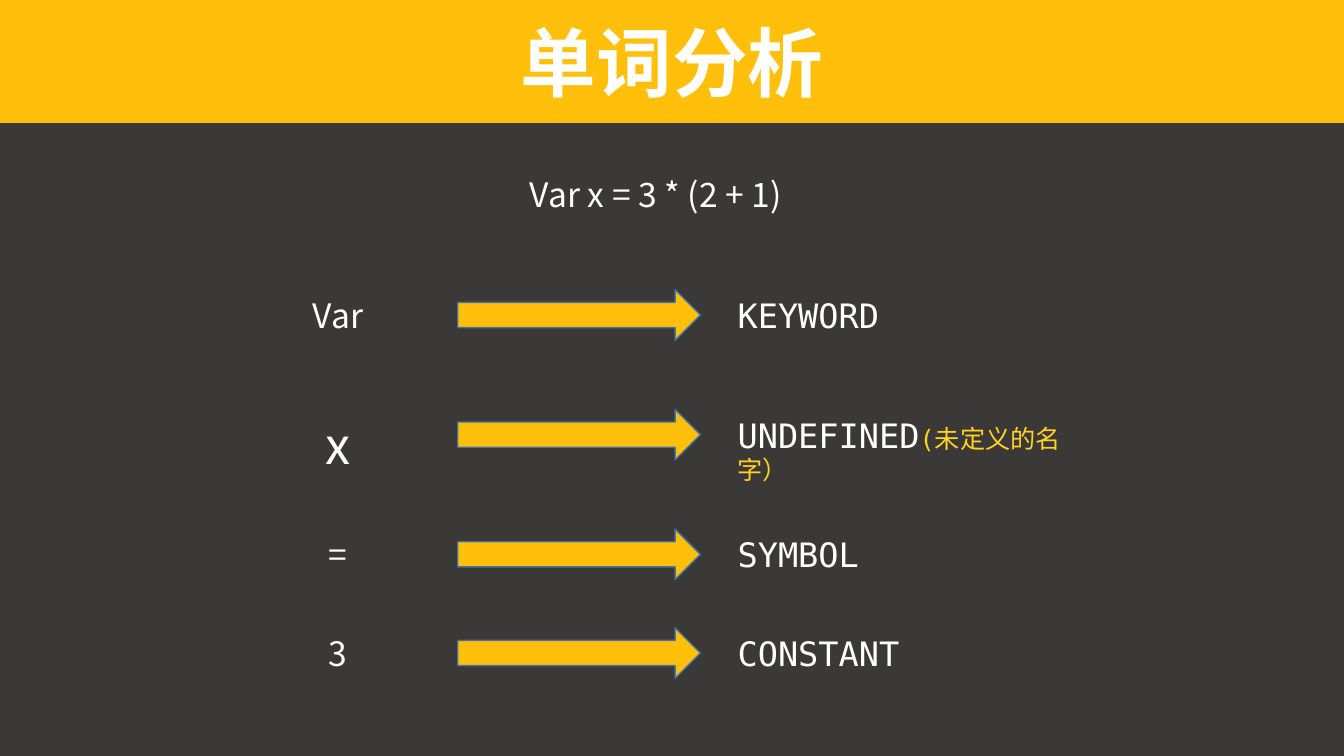
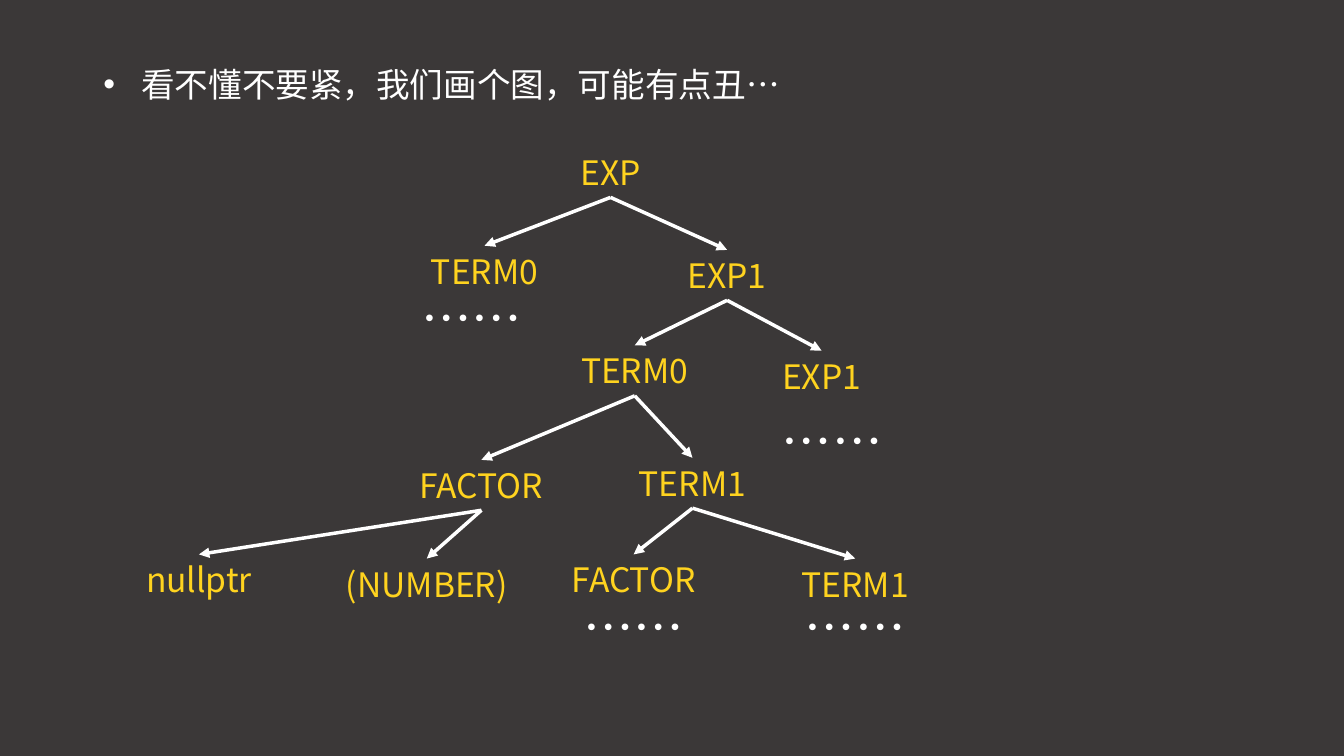
"""Build two slides on lexing an expression and drawing its parse tree."""
from lxml.etree import SubElement
from pptx import Presentation
from pptx.dml.color import RGBColor
from pptx.enum.shapes import MSO_CONNECTOR, MSO_SHAPE
from pptx.enum.text import MSO_ANCHOR, MSO_AUTO_SIZE, PP_ALIGN
from pptx.oxml.ns import qn
from pptx.util import Pt

PX = 9525
DARK = RGBColor(0x3B, 0x38, 0x38)
AMBER = RGBColor(0xFF, 0xBF, 0x0B)
YELLOW = RGBColor(0xFF, 0xD3, 0x1F)
WHITE = RGBColor(0xFF, 0xFF, 0xFF)
OUTLINE = RGBColor(0x43, 0x73, 0x9E)
SANS = "Noto Sans CJK SC"
MONO = "DejaVu Sans Mono"
LINE_HEIGHT = 48
LARGE_HEIGHT = 68


def format_run(run, size, color, font=SANS):
    run.font.size = Pt(size)
    run.font.color.rgb = color
    run.font.name = font
    SubElement(run.font._element, qn("a:ea")).set("typeface", SANS)


def add_text(slide, left, top, width, text, color=WHITE, size=24, font=SANS, align=PP_ALIGN.CENTER):
    height = LARGE_HEIGHT if size == 36 else LINE_HEIGHT
    box = slide.shapes.add_textbox(left * PX, top * PX, width * PX, height * PX)
    text_frame = box.text_frame
    text_frame.word_wrap = True
    text_frame.auto_size = MSO_AUTO_SIZE.SHAPE_TO_FIT_TEXT
    paragraph = text_frame.paragraphs[0]
    paragraph.text = text
    paragraph.alignment = align
    format_run(paragraph.runs[0], size, color, font)
    return box


presentation = Presentation()
presentation.slide_width = 1280 * PX
presentation.slide_height = 720 * PX
master_fill = presentation.slide_master.background.fill
master_fill.solid()
master_fill.fore_color.rgb = DARK
blank_layout = presentation.slide_layouts[6]

token_slide = presentation.slides.add_slide(blank_layout)
band = token_slide.shapes.add_shape(MSO_SHAPE.RECTANGLE, 0, 0, 1280 * PX, 117 * PX)
band.shadow.inherit = False
band.fill.solid()
band.fill.fore_color.rgb = AMBER
band.line.fill.background()
band.text_frame.vertical_anchor = MSO_ANCHOR.MIDDLE
title = band.text_frame.paragraphs[0]
title.text = "单词分析"
title.alignment = PP_ALIGN.CENTER
format_run(title.runs[0], 54, WHITE)
title.runs[0].font.bold = True

add_text(token_slide, 104, 161, 1041, "Var x = 3 * (2 + 1)")

TOKENS = [
    (276, "Var", 24, "KEYWORD", ""),
    (390, "x", 36, "UNDEFINED", "(未定义的名字）"),
    (504, "=", 24, "SYMBOL", ""),
    (598, "3", 24, "CONSTANT", ""),
]
for top, token, token_size, kind, remark in TOKENS:
    add_text(token_slide, 232, top, 180, token, size=token_size)
    arrow = token_slide.shapes.add_shape(
        MSO_SHAPE.RIGHT_ARROW, 436 * PX, top * PX, 231 * PX, LINE_HEIGHT * PX)
    arrow.shadow.inherit = False
    arrow.fill.solid()
    arrow.fill.fore_color.rgb = AMBER
    arrow.line.color.rgb = OUTLINE
    arrow.line.width = Pt(1)
    kind_width = 355 if remark else 265
    kind_box = add_text(token_slide, 693, top, kind_width, kind, font=MONO, align=PP_ALIGN.LEFT)
    if remark:
        remark_run = kind_box.text_frame.paragraphs[0].add_run()
        remark_run.text = remark
        format_run(remark_run, 18, YELLOW, MONO)

tree_slide = presentation.slides.add_slide(blank_layout)
intro = add_text(tree_slide, 89, 56, 1041, "看不懂不要紧，我们画个图，可能有点丑…", align=PP_ALIGN.LEFT)
intro_properties = intro.text_frame.paragraphs[0]._p.get_or_add_pPr()
intro_properties.set("marL", str(36 * PX))
intro_properties.set("indent", str(-36 * PX))
SubElement(intro_properties, qn("a:buFont")).set("typeface", "Arial")
SubElement(intro_properties, qn("a:buChar")).set("char", "•")

NODE_WIDTH = 201
NODES = {
    "root": ("EXP", 481, 140),
    "root term": ("TERM0", 361, 234),
    "root rest": ("EXP1", 592, 238),
    "term": ("TERM0", 504, 329),
    "rest": ("EXP1", 682, 334),
    "factor": ("FACTOR", 358, 438),
    "term rest": ("TERM1", 559, 436),
    "null": ("nullptr", 89, 528),
    "number": ("(NUMBER)", 306, 532),
    "last factor": ("FACTOR", 503, 528),
    "last term": ("TERM1", 714, 532),
}
CHILDREN = {
    "root": ("root term", "root rest"),
    "root rest": ("term", "rest"),
    "term": ("factor", "term rest"),
    "factor": ("null", "number"),
    "term rest": ("last factor", "last term"),
}
node_boxes = {
    key: add_text(tree_slide, left, top, NODE_WIDTH, label, YELLOW)
    for key, (label, left, top) in NODES.items()
}
for left, top in [(349, 269), (692, 386), (503, 563), (714, 563)]:
    add_text(tree_slide, left, top, NODE_WIDTH, "……", size=36)

for parent, children in CHILDREN.items():
    for child in children:
        branch = tree_slide.shapes.add_connector(MSO_CONNECTOR.STRAIGHT, 0, 0, 0, 0)
        branch.begin_connect(node_boxes[parent], 2)
        branch.end_connect(node_boxes[child], 0)
        branch.line.color.rgb = WHITE
        branch.line.width = Pt(2.5)
        SubElement(branch.line._get_or_add_ln(), qn("a:tailEnd")).set("type", "triangle")
        SubElement(branch._element.spPr, qn("a:effectLst"))

presentation.save("out.pptx")
